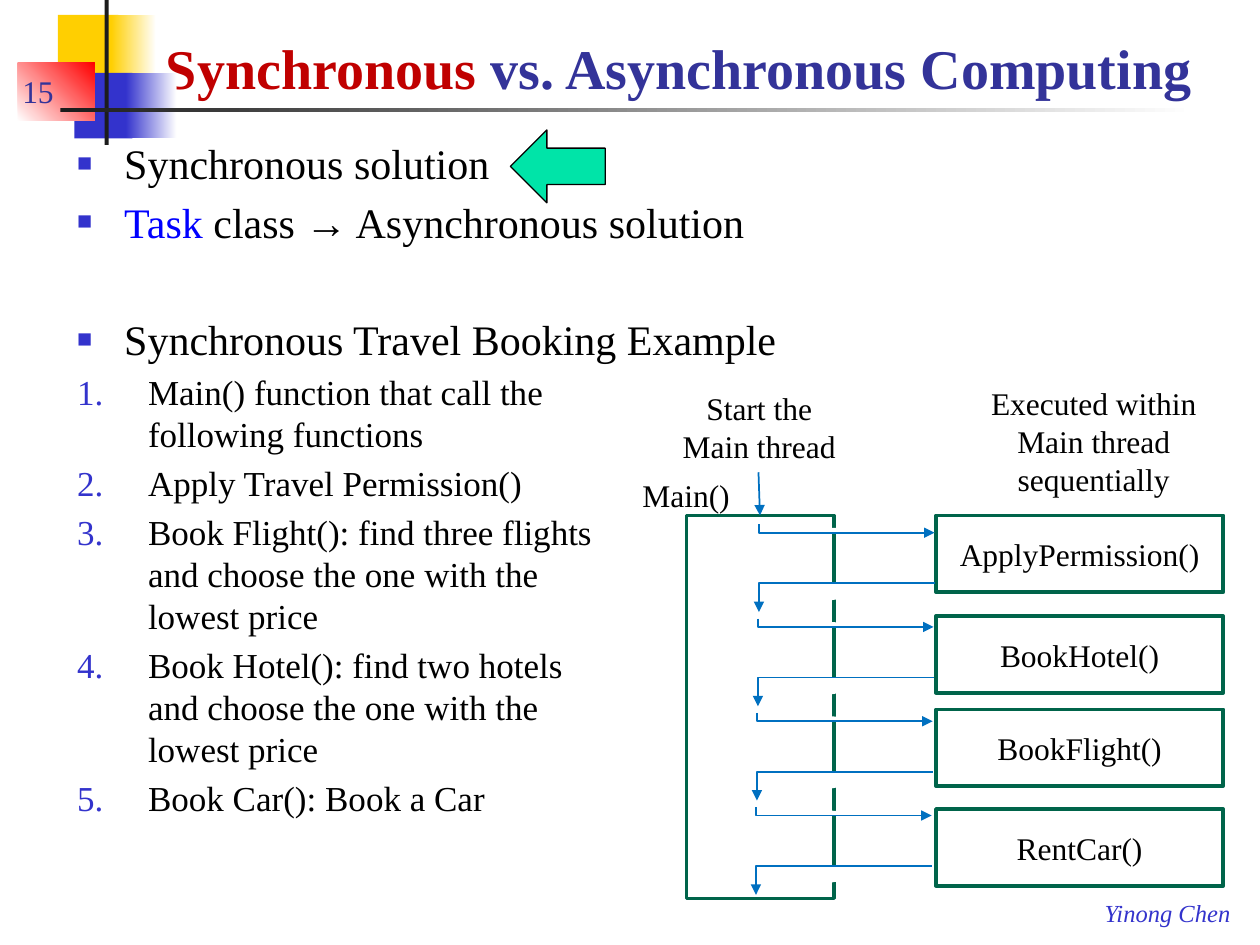
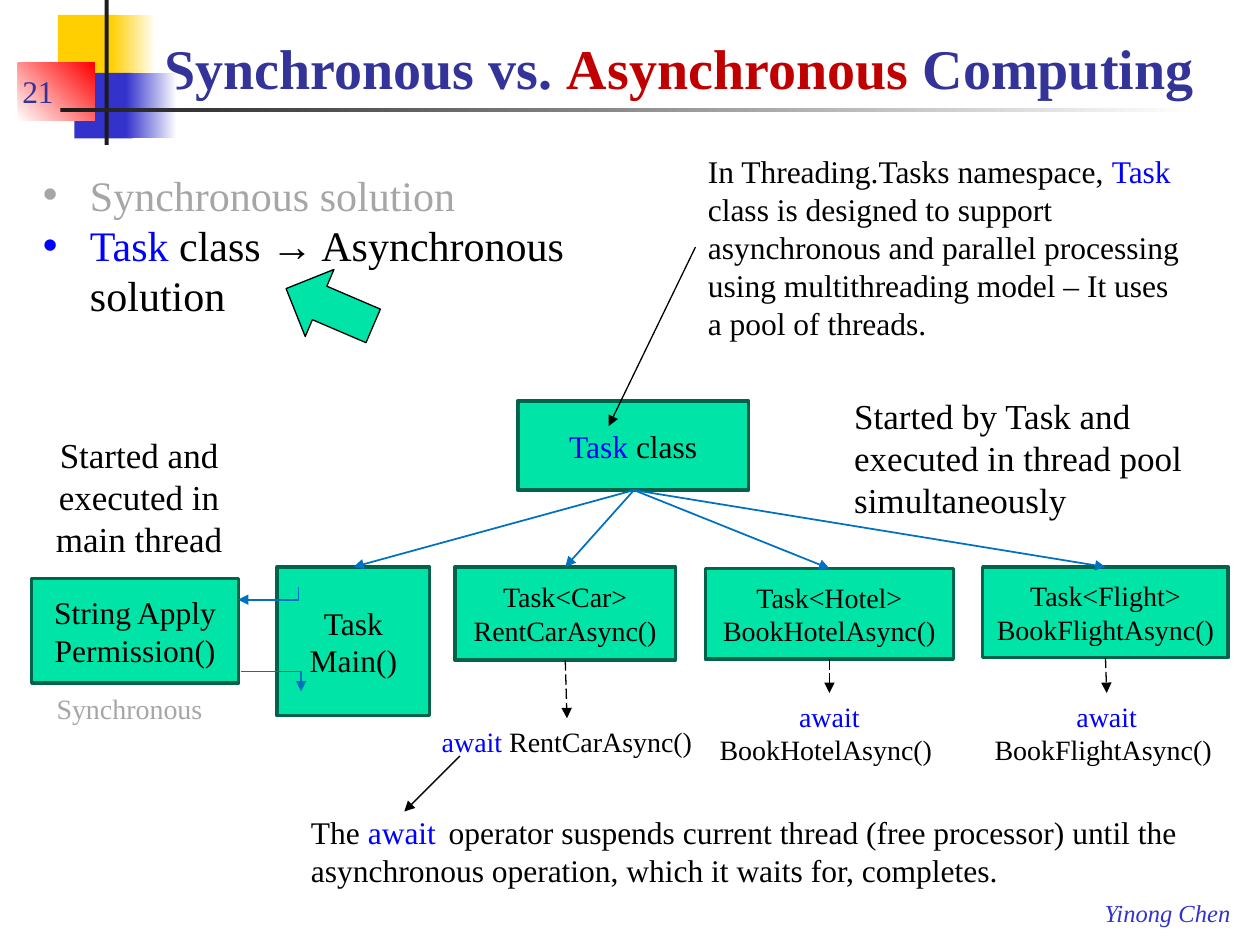
from lxml.etree import SubElement
from pptx import Presentation
from pptx.dml.color import RGBColor
from pptx.enum.dml import MSO_LINE
from pptx.enum.shapes import MSO_CONNECTOR, MSO_SHAPE
from pptx.enum.text import MSO_ANCHOR, MSO_AUTO_SIZE, PP_ALIGN
from pptx.oxml.ns import qn
from pptx.util import Cm, Pt

FONT = "Times New Roman"
COLORS = {
    "black": "000000", "white": "FFFFFF", "ink": "1C1C1C", "grey": "A6A6A6",
    "yellow": "FFCF01", "indigo": "3333CC", "navy": "333399", "red": "FF0000",
    "crimson": "C00000", "keyword": "0000FF", "arrow": "0070C0",
    "green": "00E4A8", "edge": "00644A",
}
RGB = {name: RGBColor.from_string(value) for name, value in COLORS.items()}
CENTER, MIDDLE, BOTTOM = PP_ALIGN.CENTER, MSO_ANCHOR.MIDDLE, MSO_ANCHOR.BOTTOM


def write(sp, text, size=18, color="black", accent="keyword", bold=False, italic=False,
          align=PP_ALIGN.LEFT, anchor=MSO_ANCHOR.TOP, wrap=True, before=0, indent=0,
          bullet=None, bullet_color=None, bullet_size=100):
    """Append paragraphs split at newlines; |text| between bars takes the accent colour."""
    tf = sp.text_frame
    tf.word_wrap, tf.auto_size, tf.vertical_anchor = wrap, MSO_AUTO_SIZE.NONE, anchor
    for line in text.split("\n"):
        p = tf.add_paragraph() if tf.text else tf.paragraphs[0]
        p.alignment, p.space_before = align, Pt(before)
        if bullet:
            pPr = p._p.get_or_add_pPr()
            pPr.set("marL", str(Cm(indent)))
            pPr.set("indent", str(-Cm(indent)))
            if bullet_color:
                clr = SubElement(pPr, qn("a:buClr"))
                SubElement(clr, qn("a:srgbClr"), val=COLORS[bullet_color])
            SubElement(pPr, qn("a:buSzPct"), val=str(bullet_size * 1000))
            if bullet == "1.":
                SubElement(pPr, qn("a:buFont"), typeface=FONT)
                SubElement(pPr, qn("a:buAutoNum"), type="arabicPeriod")
            else:
                SubElement(pPr, qn("a:buFont"), typeface="Arial")
                SubElement(pPr, qn("a:buChar"), char=bullet)
        for i, part in enumerate(line.split("|")):
            for j, piece in enumerate(part.split("\v")):
                if j:
                    p.add_line_break()
                if piece:
                    r = p.add_run()
                    r.text = piece
                    r.font.name, r.font.size = FONT, Pt(size)
                    r.font.bold, r.font.italic = bold, italic
                    r.font.color.rgb = RGB[accent if i % 2 else color]


def draw_arrow(s, points, color="arrow", width=1, fill=None, dashed=False):
    """Draw an arrow through the points, with its head at the last one."""
    pts = [(Cm(x), Cm(y)) for x, y in points]
    if len(pts) == 2:
        sp = s.shapes.add_connector(MSO_CONNECTOR.STRAIGHT, *pts[0], *pts[1])
        SubElement(sp._element.spPr, qn("a:effectLst"))
    else:
        builder = s.shapes.build_freeform(*pts[0])
        builder.add_line_segments(pts[1:], close=False)
        sp = builder.convert_to_shape()
        sp.shadow.inherit = False
        if fill:
            sp.fill.solid()
            sp.fill.fore_color.rgb = RGB[fill]
        else:
            sp.fill.background()
    sp.line.color.rgb, sp.line.width = RGB[color], Pt(width)
    if dashed:
        sp.line.dash_style = MSO_LINE.LONG_DASH
    SubElement(sp.line._get_or_add_ln(), qn("a:tailEnd"), type="triangle")


prs = Presentation()
prs.slide_width, prs.slide_height = Cm(25.4), Cm(19.05)

# Shared frame: corner blocks, rules, number, title, footer
decor = [
    ((1.17, 0.3, 1.22, 1.32), ["yellow"], 0),
    ((2.24, 0.3, 0.91, 1.32), ["yellow", "white"], 0),
    ((1.5, 1.47, 1.17, 1.32), ["indigo"], 0),
    ((2.54, 1.47, 1.02, 1.32), ["indigo", "white"], 0),
    ((0.36, 1.27, 1.55, 1.17), ["white", "red"], 45),
    ((2.11, 0, 0.08, 2.92), ["ink"], 0),
    ((1.22, 2.18, 22.86, 0.08), ["ink", "white"], 0),
]
frames = [
    ("15", "|Synchronous| vs. Asynchronous Computing", (1.3, 2.64, 17.78, 13.87)),
    ("21", "Synchronous vs. |Asynchronous| Computing", (0.61, 3.28, 11.43, 3.33)),
]
slides = []
for number, title, body_box in frames:
    s = prs.slides.add_slide(prs.slide_layouts[1])
    slides.append(s)
    for box, fills, angle in decor:
        sp = s.shapes.add_shape(MSO_SHAPE.RECTANGLE, *map(Cm, box))
        sp.shadow.inherit = False
        sp.line.fill.background()
        if len(fills) == 1:
            sp.fill.solid()
            sp.fill.fore_color.rgb = RGB[fills[0]]
        else:
            sp.fill.gradient()
            sp.fill.gradient_angle = angle
            for stop, name in zip(sp.fill.gradient_stops, fills):
                stop.color.rgb = RGB[name]
    body = s.placeholders[1]
    for sp, box in ((s.shapes.title, (2.21, 0.43, 22.96, 1.73)), (body, body_box)):
        sp.left, sp.top, sp.width, sp.height = map(Cm, box)
    write(s.shapes.title, title, size=32, color="navy", accent="crimson", bold=True,
          align=CENTER, anchor=BOTTOM)
    write(s.shapes.add_textbox(Cm(0.2), Cm(1.07), Cm(2.16), Cm(1.27)), number,
          color="navy", anchor=BOTTOM)
    write(s.shapes.add_textbox(Cm(22.02), Cm(17.98), Cm(3.05), Cm(0.86)), "Yinong Chen",
          size=14, color="indigo", italic=True, wrap=False)
sync, tasks = slides

# Lists
square = dict(size=24, indent=0.95, bullet="■", bullet_color="indigo", bullet_size=60)
body = sync.placeholders[1]
write(body, "Synchronous solution\n|Task| class → Asynchronous solution", before=4.8, **square)
write(body, "Synchronous Travel Booking Example", before=38.2, **square)
write(body, "Main() function that call the \vfollowing functions\n"
      "Apply Travel Permission()\n"
      "Book Flight(): find three flights \vand choose the one with the \vlowest price\n"
      "Book Hotel(): find two hotels \vand choose the one with the \vlowest price\n"
      "Book Car(): Book a Car",
      size=20, before=4, indent=1.43, bullet="1.", bullet_color="indigo")
body = tasks.placeholders[1]
dot = dict(size=24, indent=0.95, bullet="•")
write(body, "Synchronous solution", color="grey", bullet_color="grey", **dot)
write(body, "|Task| class → Asynchronous solution", bullet_color="keyword", **dot)

# Pointers to the current topic
for s, x, y, angle in ((sync, 10.29, 2.62, 0), (tasks, 5.69, 5.46, 23.2)):
    sp = s.shapes.add_shape(MSO_SHAPE.LEFT_ARROW, Cm(x), Cm(y), Cm(1.91), Cm(1.47))
    sp.shadow.inherit = False
    sp.rotation = angle
    sp.fill.solid()
    sp.fill.fore_color.rgb = RGB["green"]
    sp.line.color.rgb, sp.line.width = RGB["black"], Pt(0.75)

# Function and task boxes
main_box = (5.59, 11.43, 3.07, 3)
car_box = (9.17, 11.43, 4.45, 1.88)
hotel_box = (14.22, 11.46, 5, 1.83)
flight_box = (19.81, 11.43, 4.95, 1.83)
boxes = [
    (sync, (13.84, 10.39, 2.97, 7.72), "", 18),
    (sync, (18.87, 10.39, 5.79, 1.55), "ApplyPermission()", 18),
    (sync, (18.87, 12.42, 5.79, 1.55), "BookHotel()", 18),
    (sync, (18.87, 14.3, 5.79, 1.55), "BookFlight()", 18),
    (sync, (18.87, 16.31, 5.79, 1.55), "RentCar()", 18),
    (tasks, main_box, "Task Main()", 18),
    (tasks, (0.64, 11.66, 4.17, 2.11), "String Apply\vPermission()", 18),
    (tasks, (10.44, 8.08, 4.65, 1.8), "|Task| class", 18),
    (tasks, car_box, "Task<Car> RentCarAsync()", 16),
    (tasks, hotel_box, "Task<Hotel> BookHotelAsync()", 16),
    (tasks, flight_box, "Task<Flight> BookFlightAsync()", 16),
]
for s, box, text, size in boxes:
    sp = s.shapes.add_shape(MSO_SHAPE.RECTANGLE, *map(Cm, box))
    sp.shadow.inherit = False
    sp.fill.solid()
    sp.fill.fore_color.rgb = RGB["white" if s is sync else "green"]
    sp.line.color.rgb, sp.line.width = RGB["edge"], Pt(2)
    write(sp, text, size=size, align=CENTER, anchor=MIDDLE)

# Sequential calls and returns
draw_arrow(sync, [(15.29, 9.52), (15.32, 10.39)])
for i in range(4):
    x, y = 15.3 - 0.02 * i, 10.57 + 1.9 * i
    far = x + 3.54
    draw_arrow(sync, [(x, y), (x, y + 0.17), (far, y + 0.17)], fill="white")
    draw_arrow(sync, [(far, y + 1.19), (x, y + 1.19), (x, y + 1.77)], fill="white")

# Synchronous call and return of the main task
draw_arrow(tasks, [(6.02, 11.84), (6.02, 12.09), (4.8, 12.09)])
draw_arrow(tasks, [(4.85, 13.54), (6.07, 13.54), (6.07, 13.94)])

# Task class starts every task
for left, top, width, height in (main_box, car_box, hotel_box, flight_box):
    draw_arrow(tasks, [(12.78, 9.88), (left + width / 2, top)])

# Awaited calls below their tasks
awaits = [
    (car_box, (8.61, 14.48, 5.64, 0.94), "|await |RentCarAsync() "),
    (hotel_box, (13.94, 13.97, 5.56, 1.63), "|await |BookHotelAsync() "),
    (flight_box, (19.53, 13.97, 5.56, 1.63), "|await |BookFlightAsync() "),
]
for (left, top, width, height), box, text in awaits:
    write(tasks.shapes.add_textbox(*map(Cm, box)), text, size=16, align=CENTER)
    draw_arrow(tasks, [(left + width / 2, top + height), (box[0] + box[2] / 2, box[1])],
               color="black", width=0.75, dashed=True)

# Notes
notes = [
    (sync, (13.49, 7.72, 3.63, 1.78), "Start the Main thread", dict(align=CENTER)),
    (sync, (19.56, 7.62, 4.98, 2.49), "Executed within Main thread sequentially",
     dict(align=CENTER)),
    (sync, (12.7, 9.47, 4.42, 1.07), "Main()", {}),
    (tasks, (0.66, 8.61, 4.29, 2.82), "Started and executed in main thread",
     dict(size=20, align=CENTER)),
    (tasks, (16.97, 7.82, 7.42, 2.82),
     "Started by Task and executed in thread pool simultaneously", dict(size=20)),
    (tasks, (0.89, 13.82, 3.89, 0.94), "Synchronous", dict(size=16, color="grey")),
    (tasks, (14.02, 2.95, 10.08, 4.11),
     "In Threading.Tasks namespace, |Task| class is designed to support asynchronous and "
     "parallel processing using multithreading model – It uses a pool of threads.", {}),
]
for s, box, text, fmt in notes:
    write(s.shapes.add_textbox(*map(Cm, box)), text, **fmt)

# Explanation of await, with a wider space after the keyword
sp = tasks.shapes.add_textbox(Cm(6.02), Cm(16.26), Cm(19.74), Cm(1.8))
write(sp, "The |await|| |operator suspends current thread (free processor) until the "
      "asynchronous operation, which it waits for, completes.")
space = sp.text_frame.paragraphs[0].runs[2]
space.font.name, space.font.size = "Courier New", Pt(12)

# Leader arrows of the notes
for points in ([(14.02, 4.98), (12.27, 8.59)], [(9.27, 15.24), (8.15, 16.36)]):
    draw_arrow(tasks, points, color="black", width=0.75)

prs.save("out.pptx")
